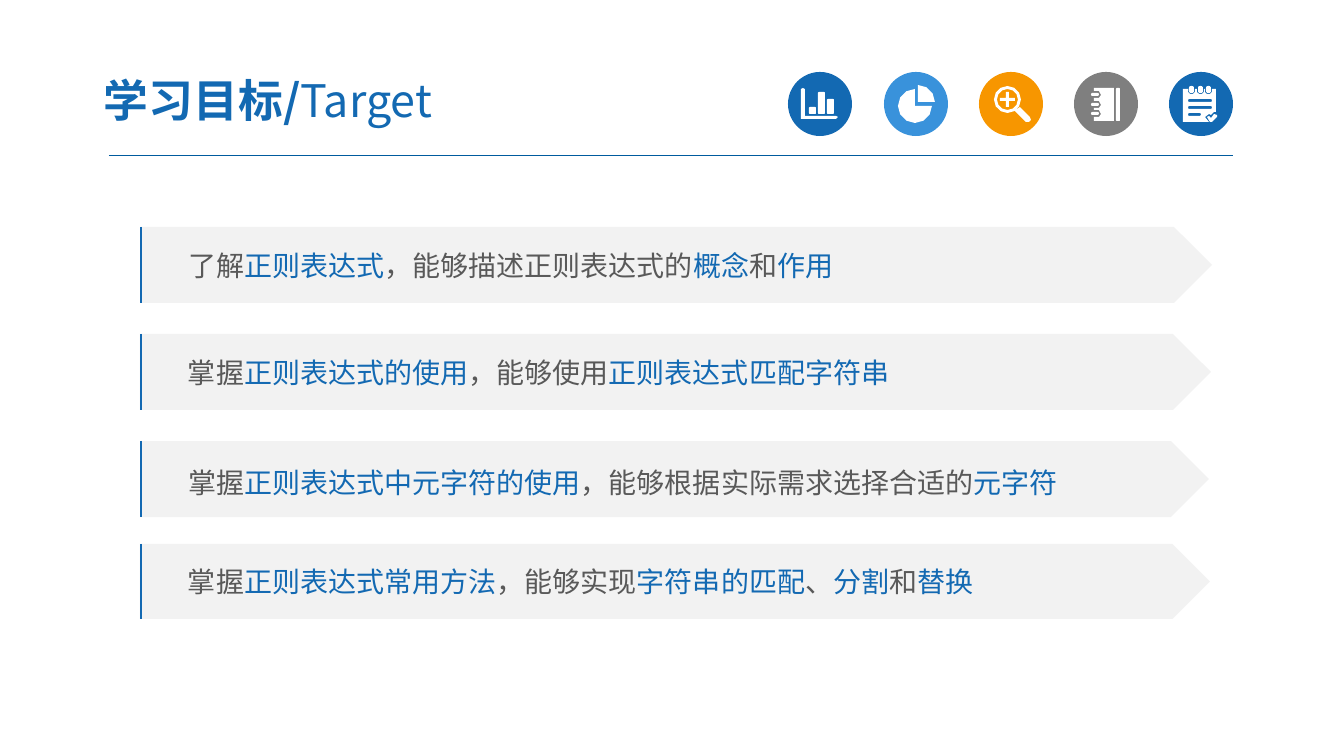
from math import cos, radians, sin

from lxml import etree
from pptx import Presentation
from pptx.dml.color import RGBColor
from pptx.enum.shapes import MSO_CONNECTOR, MSO_SHAPE
from pptx.enum.text import MSO_ANCHOR, PP_ALIGN
from pptx.oxml.ns import qn
from pptx.util import Pt

PX = 914400 / 100.8
OVAL, PLATE = MSO_SHAPE.OVAL, MSO_SHAPE.PENTAGON
STRAIGHT = MSO_CONNECTOR.STRAIGHT
MIDDLE, LEFT = MSO_ANCHOR.MIDDLE, PP_ALIGN.LEFT

THEME = {
    "font": "Noto Sans CJK SC", "title": 32, "body": 20,
    "blue": "1369B2", "sky": "3992DB", "orange": "F79600", "gray": "7F7F7F",
    "white": "FFFFFF", "plate": "F2F2F2", "text": "595959", "rule": "005B9E",
}


def add_text(sp, runs, size, inset, spacing=None):
    tf = sp.text_frame
    tf.word_wrap = True
    tf.vertical_anchor = MIDDLE
    tf.margin_left = round(inset * PX)
    p = tf.paragraphs[0]
    p.alignment = LEFT
    p.line_spacing = spacing
    for text, color, bold in runs:
        r = p.add_run()
        r.text = text
        r.font.size = Pt(size)
        r.font.bold = bold
        r.font.name = THEME["font"]
        r.font.color.rgb = RGBColor.from_string(THEME[color])
        ea = etree.SubElement(r._r.get_or_add_rPr(), qn("a:ea"))
        ea.set("typeface", THEME["font"])


def rounded(x, y, w, h, radius):
    corners = [(x + w - radius, y + h - radius, 0), (x + radius, y + h - radius, 90),
               (x + radius, y + radius, 180), (x + w - radius, y + radius, 270)]
    return [(cx + radius * cos(radians(start + step)), cy + radius * sin(radians(start + step)))
            for cx, cy, start in corners for step in (0, 30, 60, 90)]


prs = Presentation()
prs.slide_width, prs.slide_height = round(1344 * PX), round(756 * PX)
s = prs.slides.add_slide(prs.slide_layouts[6])

chart_glyph = [
    [(13, 17), (15, 16), (17, 17), (17, 44), (48, 44), (50, 45), (48, 47), (13, 47)],
    rounded(21, 35, 7, 7, 1), rounded(30, 20, 7, 22, 1), rounded(39, 27, 7, 15, 1),
]
pie_glyph = [
    rounded(14, 17, 34, 34, 17)[:12] + [(31, 34)],
    rounded(17, 13, 34, 34, 17)[12:] + [(34, 30)],
]
search_glyph = [
    rounded(15, 14, 27, 27, 13.5), rounded(18, 17, 21, 21, 10.5),
    [(21, 26), (27, 26), (27, 20), (30, 20), (30, 26), (36, 26),
     (36, 29), (30, 29), (30, 35), (27, 35), (27, 29), (21, 29)],
    [(36, 39), (38, 37), (41, 35), (51, 45), (52, 48), (50, 50), (47, 50)],
]
notebook_page = [(20, 16), (40, 16), (40, 49), (20, 49)]
notebook_glyph = [notebook_page, rounded(42, 16, 4, 33, 1)]
for y in (38, 29, 19):
    notebook_page += [(20, y + 7), (25, y + 7), (27, y + 4), (25, y), (20, y)]
    notebook_glyph.append(rounded(17, y + 2, 8, 3, 1.5))

list_page = [(14, 17)]
list_glyph = [
    list_page,
    rounded(19, 27, 24, 3, 1.5), rounded(19, 34, 24, 3, 1.5), rounded(19, 41, 13, 3, 1.5),
    [(38, 45), (40, 44), (42, 46), (45, 42), (48, 43), (48, 45), (43, 50), (41, 50)],
]
for x in (19, 28, 36):
    list_page += [(x, 17), (x, 20), (x + 2, 22), (x + 5, 22), (x + 7, 20), (x + 7, 17)]
    list_glyph.append(rounded(x + 1, 14, 5, 7, 2))
list_page += [(47, 17), (47, 40), (45, 40), (42, 43), (40, 42), (36, 45), (40, 50), (14, 50)]

icons = [
    (788, "blue", chart_glyph), (884, "sky", pie_glyph), (979, "orange", search_glyph),
    (1074, "gray", notebook_glyph), (1169, "blue", list_glyph),
]
goals = [
    (227, 1072, 76, None, "了解|正则表达式|，能够描述正则表达式的|概念|和|作用"),
    (334, 1071, 76, None, "掌握|正则表达式的使用|，能够使用|正则表达式匹配字符串"),
    (441, 1069, 76, 1.2, "掌握|正则表达式中元字符的使用|，能够根据实际需求选择合适的|元字符"),
    (544, 1070, 75, None, "掌握|正则表达式常用方法|，能够实现|字符串的匹配|、|分割|和|替换"),
]

filled = []
for left, color, glyph in icons:
    disc = s.shapes.add_shape(OVAL, *[round(v * PX) for v in (left, 72, 64, 64)])
    contours = [[(round((left + x) * PX), round((72 + y) * PX)) for x, y in contour]
                for contour in glyph]
    builder = s.shapes.build_freeform(*contours[0][0])
    builder.add_line_segments(contours[0][1:], close=True)
    for contour in contours[1:]:
        builder.move_to(*contour[0])
        builder.add_line_segments(contour[1:], close=True)
    filled += [(disc, color), (builder.convert_to_shape(), "white")]

title = s.shapes.add_textbox(*[round(v * PX) for v in (90, 63, 526, 73)])
add_text(title, [("学习目标/", "blue", True), ("Target", "blue", False)], THEME["title"], 14)

lines = [(109, 156, 1233, 156, "rule", 0.75)]
for top, width, height, spacing, goal in goals:
    plate = s.shapes.add_shape(PLATE, *[round(v * PX) for v in (140, top, width, height)])
    runs = [(text, ("text", "blue")[i % 2], False) for i, text in enumerate(goal.split("|"))]
    add_text(plate, runs, THEME["body"], 48, spacing)
    filled.append((plate, "plate"))
    lines.append((141, top, 141, top + height, "blue", 1.5))

for sp, color in filled:
    sp.shadow.inherit = False
    sp.fill.solid()
    sp.fill.fore_color.rgb = RGBColor.from_string(THEME[color])
    sp.line.fill.background()

for *ends, color, weight in lines:
    line = s.shapes.add_connector(STRAIGHT, *[round(v * PX) for v in ends])
    line.line.color.rgb = RGBColor.from_string(THEME[color])
    line.line.width = Pt(weight)
    etree.SubElement(line._element.spPr, qn("a:effectLst"))

prs.save("out.pptx")
